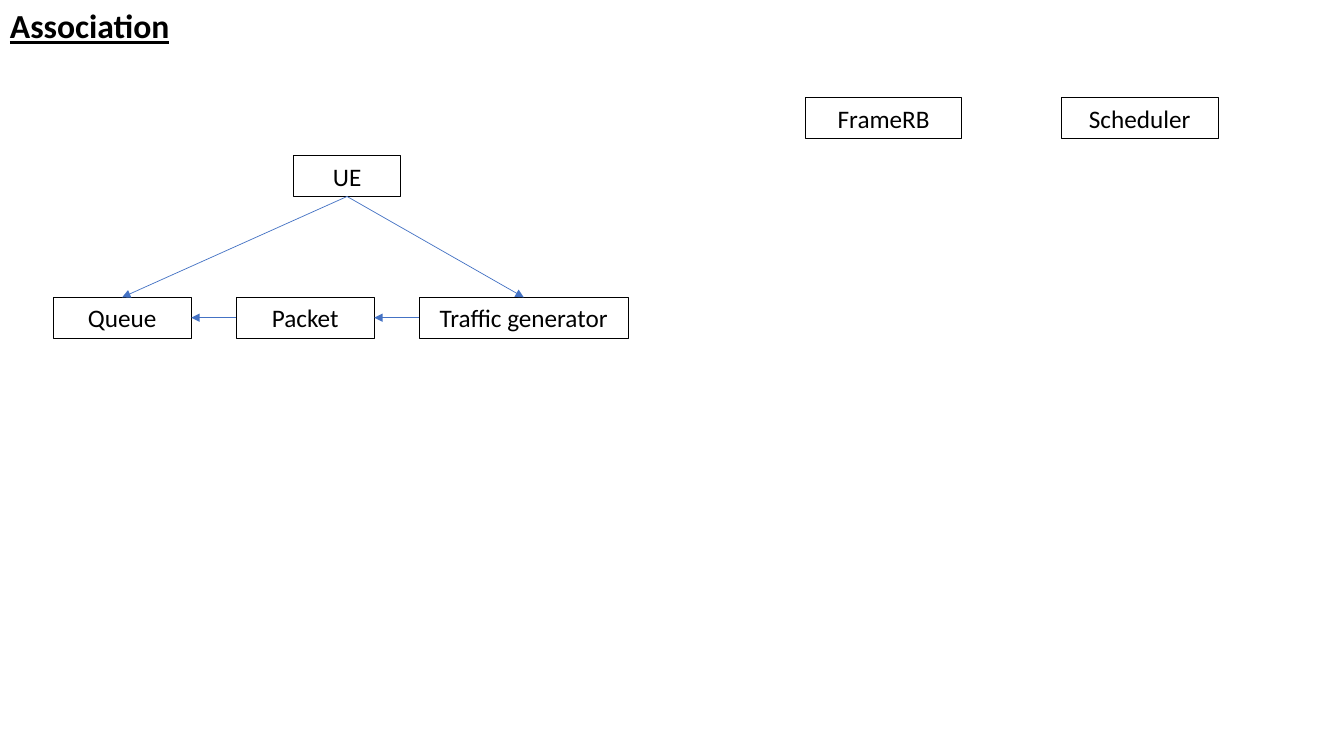
from dataclasses import dataclass

from lxml.etree import SubElement as sub
from pptx import Presentation as Deck
from pptx.dml.color import RGBColor as Color
from pptx.enum.shapes import MSO_CONNECTOR as Link, MSO_SHAPE as Form
from pptx.enum.text import MSO_ANCHOR as Anchor, MSO_AUTO_SIZE as Fit, PP_ALIGN as Align
from pptx.oxml.ns import qn
from pptx.util import Inches, Pt

WIDE, HIGH = Inches(13.33), Inches(7.5)
BLACK, BLUE = "000000", "4472C4"
TOP, LEFT, BASE, RIGHT = range(4)

# Shares of the slide, in percent
TALL = 5.39
ROW, GAP, START = 39.33, 3.34, 3.95
FONT = {"name": "Calibri", "size": Pt(18)}
HEAD = {"name": "Calibri", "size": Pt(24), "bold": True, "underline": True}
FRAME = {"word_wrap": True, "auto_size": Fit.SHAPE_TO_FIT_TEXT,
         "vertical_anchor": Anchor.MIDDLE}


@dataclass
class Box:
    text: str
    x: float
    y: float
    width: float


@dataclass
class Arrow:
    tail: str
    out: int
    tip: str
    into: int


def across(share: float) -> int:
    return round(WIDE * share / 100)


def down(share: float) -> int:
    return round(HIGH * share / 100)


def paint(code: str) -> Color:
    return Color.from_string(code)


def apply(part, values: dict) -> None:
    for key, value in values.items():
        setattr(part, key, value)


def write(shape, text: str, font: dict, align) -> None:
    apply(shape.text_frame, FRAME)
    para = shape.text_frame.paragraphs[0]
    para.alignment = align
    run = para.add_run()
    run.text = text
    apply(run.font, font)
    run.font.color.rgb = paint(BLACK)


def draw_box(slide, box: Box):
    shape = slide.shapes.add_shape(Form.RECTANGLE, across(box.x), down(box.y),
                                   across(box.width), down(TALL))
    shape.shadow.inherit = False
    shape.fill.background()
    shape.line.color.rgb = paint(BLACK)
    shape.line.width = Pt(0.75)
    write(shape, box.text, FONT, Align.CENTER)
    return shape


def draw_arrow(slide, arrow: Arrow, nodes: dict) -> None:
    line = slide.shapes.add_connector(Link.STRAIGHT, 0, 0, 0, 0)
    line.begin_connect(nodes[arrow.tail], arrow.out)
    line.end_connect(nodes[arrow.tip], arrow.into)
    line.line.color.rgb = paint(BLUE)
    line.line.width = Pt(0.5)
    props = line.line._get_or_add_ln()
    sub(props, qn("a:tailEnd"), type="triangle")
    sub(props.getparent(), qn("a:effectLst"))


# Lower row, laid out from left to right with equal gaps
boxes = [Box("UE", 21.85, 20.6, 7.95),
         Box("FrameRB", 59.93, 12.93, 11.65),
         Box("Scheduler", 78.95, 12.93, 11.7)]
edge = START
for name, width in [("Queue", 10.28), ("Packet", 10.28), ("Traffic generator", 15.56)]:
    boxes.append(Box(name, edge, ROW, width))
    edge += width + GAP

arrows = [Arrow("Packet", LEFT, "Queue", RIGHT),
          Arrow("Traffic generator", LEFT, "Packet", RIGHT),
          Arrow("UE", BASE, "Queue", TOP),
          Arrow("UE", BASE, "Traffic generator", TOP)]


def main() -> None:
    deck = Deck()
    apply(deck, {"slide_width": WIDE, "slide_height": HIGH})
    slide = deck.slides.add_slide(deck.slide_layouts[6])

    # Title
    title = slide.shapes.add_textbox(0, 0, across(19.13), down(6.73))
    write(title, "Association", HEAD, Align.LEFT)

    # Boxes, then the arrows that join them
    nodes = {box.text: draw_box(slide, box) for box in boxes}
    for arrow in arrows:
        draw_arrow(slide, arrow, nodes)

    deck.save("out.pptx")


if __name__ == "__main__":
    main()
